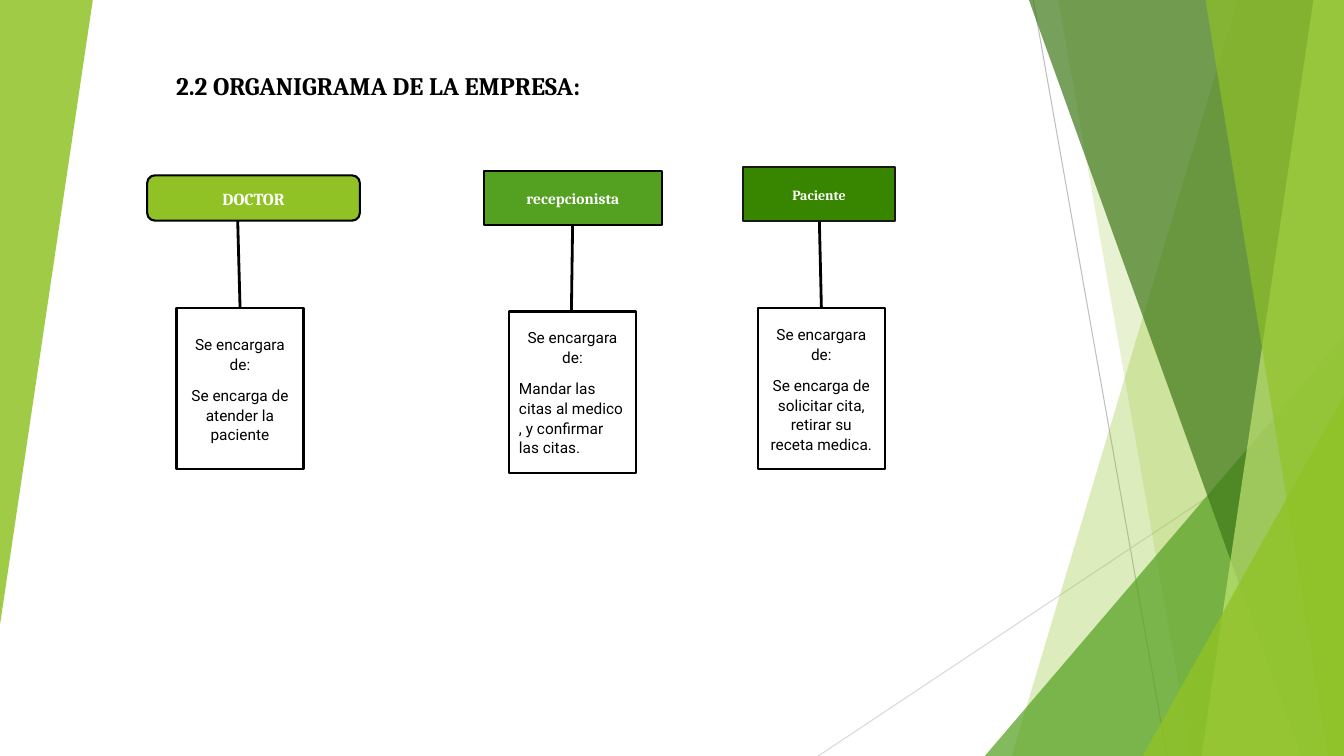
"""Build the organisation chart slide of a medical practice."""
from lxml.etree import SubElement
from pptx import Presentation
from pptx.dml.color import RGBColor
from pptx.enum.shapes import MSO_CONNECTOR, MSO_SHAPE as SHAPE
from pptx.enum.text import MSO_ANCHOR, PP_ALIGN as ALIGN
from pptx.oxml.ns import qn
from pptx.util import Cm, Pt

LIME = RGBColor(0x90, 0xC2, 0x26)
GREEN = RGBColor(0x54, 0xA0, 0x21)
FOREST = RGBColor(0x3F, 0x78, 0x19)
PALE_LIME = RGBColor(0xC0, 0xE4, 0x74)
DEEP_GREEN = RGBColor(0x38, 0x86, 0x00)
BLACK = RGBColor(0x00, 0x00, 0x00)
CHARCOAL = RGBColor(0x18, 0x18, 0x18)
WHITE = RGBColor(0xFF, 0xFF, 0xFF)
GREY = RGBColor(0xBF, 0xBF, 0xBF)
LIGHT_GREY = RGBColor(0xD9, 0xD9, 0xD9)

WIDTH, HEIGHT = 33.87, 19.05
BODY_WIDTH, BODY_HEIGHT = 3.2, 4.06

presentation = Presentation()
presentation.slide_width = Cm(WIDTH)
presentation.slide_height = Cm(HEIGHT)
slide = presentation.slides.add_slide(presentation.slide_layouts[6])


def add_line(start, end, color, weight):
    line = slide.shapes.add_connector(
        MSO_CONNECTOR.STRAIGHT, *[Cm(value) for value in start + end])
    line.line.color.rgb = color
    line.line.width = Pt(weight)
    SubElement(line._element.spPr, qn("a:effectLst"))


def add_box(kind, frame, fill, outline, texts, font_name, size, color):
    box = slide.shapes.add_shape(kind, *[Cm(value) for value in frame])
    box.shadow.inherit = False
    box.fill.solid()
    box.fill.fore_color.rgb = fill
    box.line.color.rgb = outline
    box.line.width = Pt(1.5)
    if kind == SHAPE.ROUNDED_RECTANGLE:
        box.adjustments[0] = 0.17
    text_frame = box.text_frame
    text_frame.word_wrap = True
    text_frame.vertical_anchor = MSO_ANCHOR.MIDDLE
    for index, (text, alignment) in enumerate(texts):
        paragraph = text_frame.add_paragraph() if index else text_frame.paragraphs[0]
        paragraph.alignment = alignment
        paragraph.line_spacing = 1.07
        paragraph.space_after = Pt(8)
        run = paragraph.add_run()
        run.text = text
        run.font.name = font_name
        run.font.size = Pt(size)
        run.font.bold = font_name == "Cambria"
        run.font.color.rgb = color


add_line((26.04, 0), (29.41, HEIGHT), GREY, 0.75)
add_line((WIDTH, 10.24), (20.62, HEIGHT), LIGHT_GREY, 0.75)

right_edge = [(WIDTH, 0), (WIDTH, HEIGHT)]
facets = [
    ([(31.19, 0), *right_edge, (25.5, HEIGHT)], LIME, 30),
    ([(26.67, 0), *right_edge, (30.02, HEIGHT)], LIME, 20),
    ([(24.82, HEIGHT), (WIDTH, 8.46), (WIDTH, HEIGHT)], GREEN, 72),
    ([(25.93, 0), *right_edge, (32.79, HEIGHT)], FOREST, 70),
    ([(33.1, 0), *right_edge, (30.28, HEIGHT)], PALE_LIME, 70),
    ([(30.38, 0), *right_edge, (33.48, HEIGHT)], LIME, 65),
    ([(28.8, HEIGHT), (WIDTH, 9.98), (WIDTH, HEIGHT)], LIME, 80),
    ([(0, 0), (2.34, 0), (0, 15.75)], LIME, 85),
]
for corners, color, opacity in facets:
    points = [(Cm(x), Cm(y)) for x, y in corners]
    builder = slide.shapes.build_freeform(*points[0])
    builder.add_line_segments(points[1:], close=True)
    facet = builder.convert_to_shape()
    facet.shadow.inherit = False
    facet.line.fill.background()
    facet.fill.solid()
    facet.fill.fore_color.rgb = color
    color_element = facet._element.spPr.find(qn("a:solidFill"))[0]
    SubElement(color_element, qn("a:alpha"), val=str(opacity * 1000))

title = slide.shapes.add_textbox(Cm(4.19), Cm(1.65), Cm(21.56), Cm(12.65))
title.text_frame.word_wrap = True
title_run = title.text_frame.paragraphs[0].add_run()
title_run.text = "2.2 ORGANIGRAMA DE LA EMPRESA:"
title_run.font.name = "Cambria"
title_run.font.size = Pt(18)
title_run.font.bold = True
title_run.font.color.rgb = BLACK

roles = [
    ("DOCTOR", 12, SHAPE.ROUNDED_RECTANGLE, (3.71, 4.42, 5.36, 1.14), LIME, BLACK,
     (5.99, 5.56), (6.05, 7.77), 4.45,
     "Se encarga de atender la paciente", ALIGN.CENTER),
    ("recepcionista", 11, SHAPE.RECTANGLE, (12.19, 4.32, 4.5, 1.35), GREEN, BLACK,
     (14.43, 5.67), (14.4, 7.85), 12.83,
     "Mandar las citas al medico , y confirmar las citas.", ALIGN.LEFT),
    ("Paciente", 10, SHAPE.RECTANGLE, (18.72, 4.22, 3.84, 1.35), DEEP_GREEN, CHARCOAL,
     (20.65, 5.57), (20.7, 7.77), 19.1,
     "Se encarga de solicitar cita, retirar su receta medica.", ALIGN.CENTER),
]
for (name, size, kind, frame, fill, outline,
     start, end, body_left, duty, alignment) in roles:
    add_line(start, end, BLACK, 2)
    add_box(kind, frame, fill, outline, [(name, ALIGN.CENTER)], "Cambria", size, WHITE)
    add_box(SHAPE.RECTANGLE, (body_left, end[1], BODY_WIDTH, BODY_HEIGHT), WHITE, BLACK,
            [("Se encargara de:", ALIGN.CENTER), (duty, alignment)], "Roboto", 11, BLACK)

presentation.save("out.pptx")
